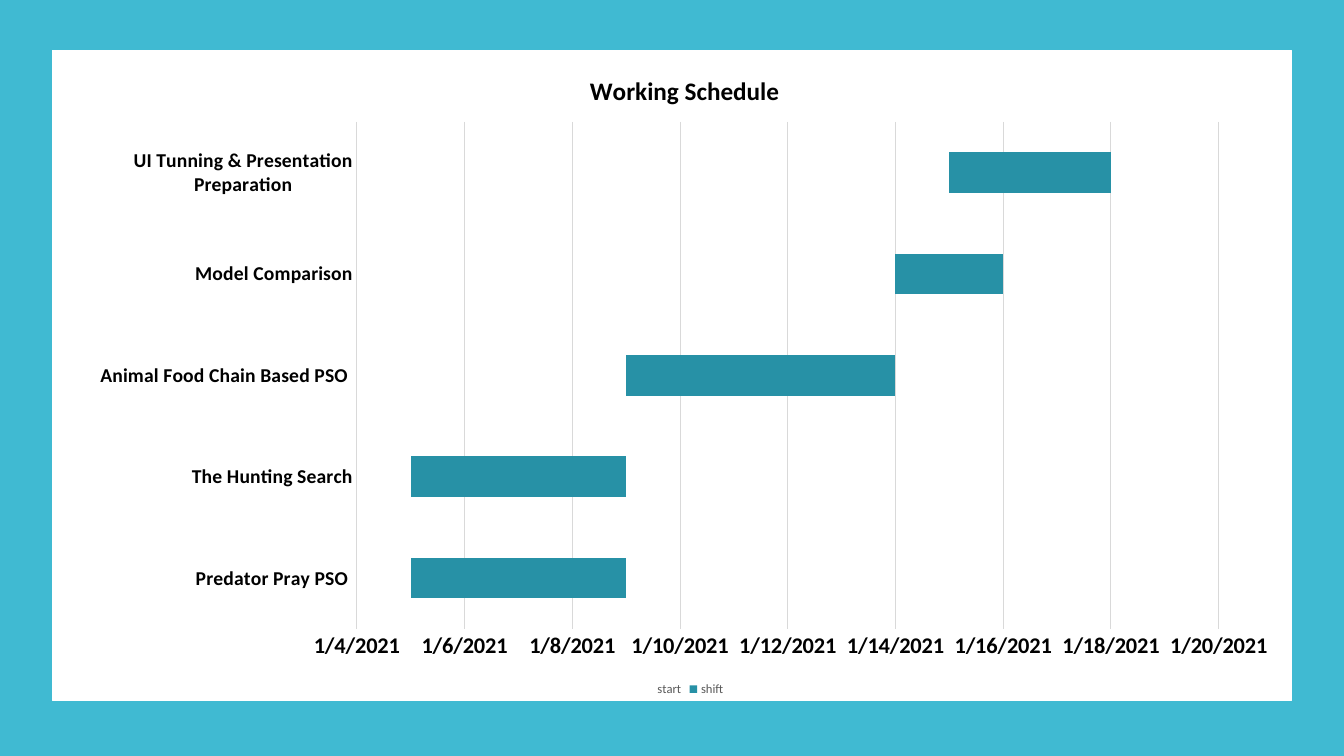
"""Build a one-slide Gantt-style working schedule."""
from dataclasses import dataclass

from lxml import etree
from pptx import Presentation
from pptx import util as u
from pptx.chart.axis import _BaseAxis
from pptx.chart.chart import Chart
from pptx.chart.data import CategoryChartData
from pptx.dml.color import RGBColor
from pptx.enum import chart as ce
from pptx.enum import shapes
from pptx.oxml.ns import qn
from pptx.slide import Slide
from pptx.text.text import Font

BLACK = RGBColor(0x00, 0x00, 0x00)
WHITE = RGBColor(0xFF, 0xFF, 0xFF)
SKY = RGBColor(0x40, 0xBA, 0xD2)
TEAL = RGBColor(0x27, 0x91, 0xA6)
GRID_GREY = RGBColor(0xD9, 0xD9, 0xD9)
LEGEND_GREY = RGBColor(0x59, 0x59, 0x59)
TYPEFACE = "Calibri"
FIRST_DAY, LAST_DAY = 44200, 44216
PLOT_AREA = {"x": 0.23, "y": 0.11, "w": 0.71, "h": 0.78}


@dataclass(frozen=True)
class Panel:
    left: float
    top: float
    width: float
    height: float
    color: RGBColor
    outlined: bool


@dataclass(frozen=True)
class Task:
    name: str
    start: int
    days: int


PANELS = [
    Panel(0, 0, 13.33, 7.5, SKY, False),
    Panel(0.52, 0.5, 12.29, 6.45, WHITE, True),
]
TASKS = [
    Task("Predator Pray PSO ", 44201, 4),
    Task("The Hunting Search", 44201, 4),
    Task("Animal Food Chain Based PSO ", 44205, 5),
    Task("Model Comparison", 44210, 2),
    Task("UI Tunning & Presentation Preparation", 44211, 3),
]


def draw_panel(slide: Slide, panel: Panel) -> None:
    backdrop = slide.shapes.add_shape(
        shapes.MSO_SHAPE.RECTANGLE,
        u.Inches(panel.left), u.Inches(panel.top),
        u.Inches(panel.width), u.Inches(panel.height),
    )
    backdrop.shadow.inherit = False
    backdrop.fill.solid()
    backdrop.fill.fore_color.rgb = panel.color
    if panel.outlined:
        backdrop.line.color.rgb = panel.color
        backdrop.line.width = u.Pt(0.85)
    else:
        backdrop.line.fill.background()


def style_font(font: Font, size: float, color: RGBColor, bold: bool) -> None:
    font.name = TYPEFACE
    font.size = u.Pt(size)
    font.color.rgb = color
    font.bold = bold


def style_axis(axis: _BaseAxis, size: float) -> None:
    axis.major_tick_mark = ce.XL_TICK_MARK.NONE
    axis.minor_tick_mark = ce.XL_TICK_MARK.NONE
    axis.format.line.fill.background()
    style_font(axis.tick_labels.font, size, BLACK, True)


def place_plot(chart: Chart) -> None:
    plot_area = chart.element.find(f".//{qn('c:plotArea')}")
    for previous in plot_area.findall(qn("c:layout")):
        plot_area.remove(previous)
    layout = etree.Element(qn("c:layout"))
    manual = etree.SubElement(layout, qn("c:manualLayout"))
    settings = {"layoutTarget": "inner", "xMode": "edge", "yMode": "edge", **PLOT_AREA}
    for tag, value in settings.items():
        etree.SubElement(manual, qn(f"c:{tag}")).set("val", str(value))
    plot_area.insert(0, layout)


def draw_schedule(slide: Slide) -> None:
    schedule = CategoryChartData()
    schedule.categories = [task.name for task in TASKS]
    schedule.add_series("start", [task.start for task in TASKS])
    schedule.add_series("shift", [task.days for task in TASKS])
    chart = slide.shapes.add_chart(
        ce.XL_CHART_TYPE.BAR_STACKED,
        u.Inches(0.77), u.Inches(0.5), u.Inches(12.04), u.Inches(6.45), schedule,
    ).chart
    style_font(chart.font, 10, BLACK, False)

    chart.has_title = True
    heading = chart.chart_title.text_frame.paragraphs[0]
    heading.text = "Working Schedule"
    style_font(heading.font, 18, BLACK, True)
    chart.chart_title.include_in_layout = False

    chart.has_legend = True
    chart.legend.position = ce.XL_LEGEND_POSITION.BOTTOM
    chart.legend.include_in_layout = False
    style_font(chart.legend.font, 9, LEGEND_GREY, False)

    bars = chart.plots[0]
    bars.gap_width = 150
    bars.overlap = 100
    bars.vary_by_categories = False
    start, shift = bars.series
    start.format.fill.background()
    start.format.line.fill.background()
    shift.format.fill.solid()
    shift.format.fill.fore_color.rgb = TEAL

    style_axis(chart.category_axis, 14)
    dates = chart.value_axis
    style_axis(dates, 16)
    dates.minimum_scale = FIRST_DAY
    dates.maximum_scale = LAST_DAY
    dates.major_unit = 2
    dates.tick_labels.number_format = "m/d/yyyy"
    dates.tick_labels.number_format_is_linked = False
    dates.has_major_gridlines = True
    dates.major_gridlines.format.line.color.rgb = GRID_GREY
    dates.major_gridlines.format.line.width = u.Pt(0.75)
    place_plot(chart)


def main() -> None:
    deck = Presentation()
    deck.slide_width = u.Inches(13.33)
    deck.slide_height = u.Inches(7.5)
    slide = deck.slides.add_slide(deck.slide_layouts.get_by_name("Blank"))
    for panel in PANELS:
        draw_panel(slide, panel)
    draw_schedule(slide)
    deck.save("out.pptx")


if __name__ == "__main__":
    main()
